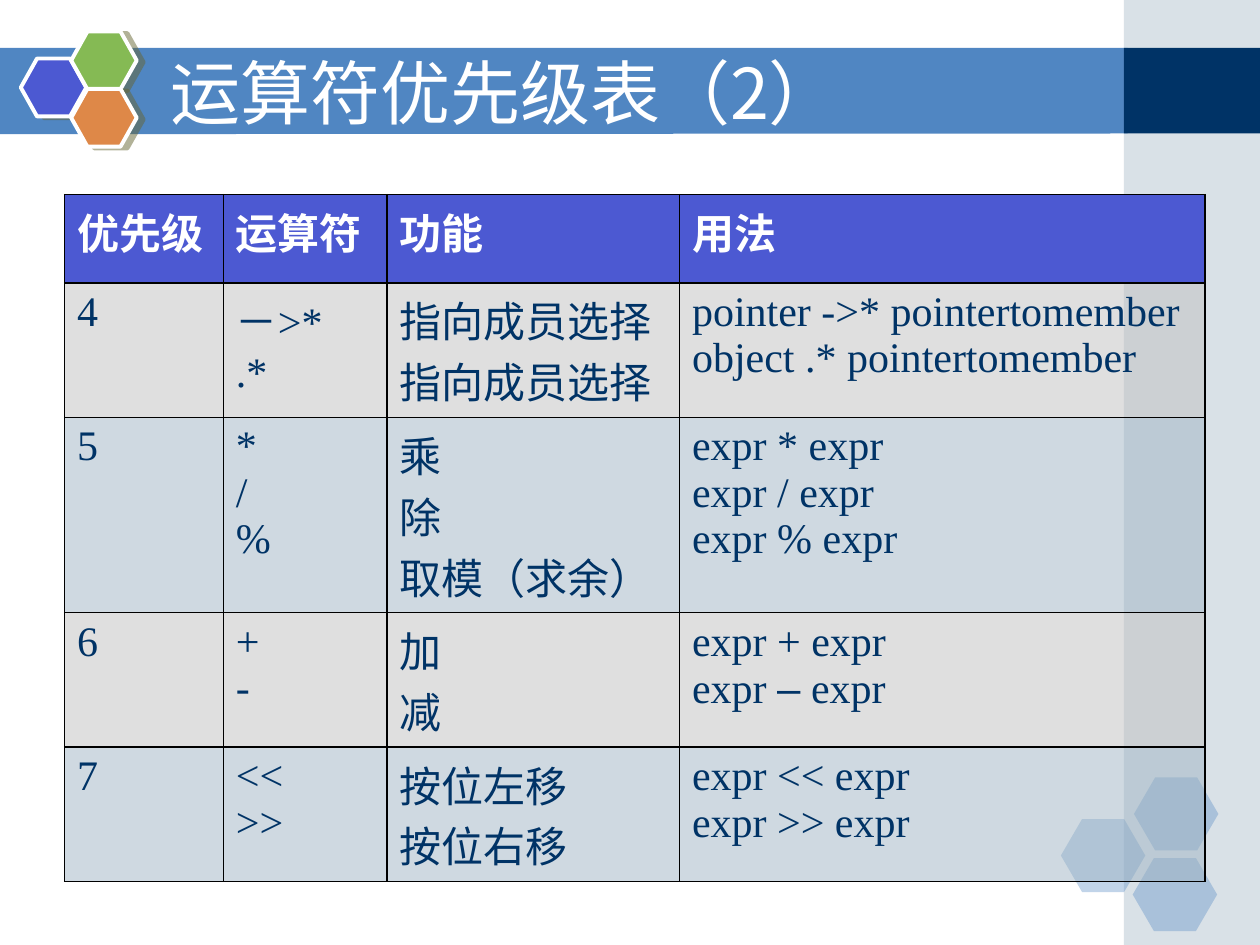
from pptx import Presentation
from pptx.dml.color import RGBColor
from pptx.enum.shapes import MSO_SHAPE
from pptx.enum.text import MSO_ANCHOR
from pptx.oxml import parse_xml
from pptx.oxml.ns import nsdecls, qn
from pptx.util import Inches, Pt

COLORS = {
    "banner": "5086C2", "navy": "003366", "mist": "A0B5C4", "silver": "C0C0C0",
    "indigo": "4C59D2", "green": "85BA54", "orange": "DE8848",
    "shade": "666633", "white": "FFFFFF", "black": "000000",
}
COLUMNS, ROWS = 100, 75

HEADER = ["优先级", "运算符", "功能", "用法"]
OPERATORS = [
    ["4", "－>*\n.*", "指向成员选择\n指向成员选择",
     "pointer ->* pointertomember\nobject .* pointertomember"],
    ["5", "*\n/\n%", "乘\n除\n取模（求余）", "expr * expr\nexpr / expr\nexpr % expr"],
    ["6", "+\n-", "加\n减", "expr + expr\nexpr – expr"],
    ["7", "<<\n>>", "按位左移\n按位右移", "expr << expr\nexpr >> expr"],
]


class SlideBuilder:
    """Places elements on a grid of COLUMNS by ROWS."""

    latin, dash, chinese = "Times New Roman", "Arial", "Noto Sans CJK SC"

    def __init__(self, deck):
        self.page = deck.slides.add_slide(deck.slide_layouts[6])
        self.column = deck.slide_width / COLUMNS
        self.row = deck.slide_height / ROWS

    def place(self, left, top, width, height):
        return (round(left * self.column), round(top * self.row),
                round(width * self.column), round(height * self.row))

    def paint(self, fill, holder, color, opacity=100):
        fill.solid()
        fill.fore_color.rgb = RGBColor.from_string(COLORS[color])
        if opacity < 100:
            tint = holder.find(".//" + qn("a:srgbClr"))
            tint.append(parse_xml(f'<a:alpha {nsdecls("a")} val="{opacity * 1000}"/>'))

    def style(self, span, size, color, font, bold=False):
        span.font.size, span.font.name, span.font.bold = Pt(size), font, bold
        span.font.color.rgb = RGBColor.from_string(COLORS[color])
        latin = span._r.get_or_add_rPr().find(qn("a:latin"))
        latin.addnext(parse_xml(f'<a:ea {nsdecls("a")} typeface="{self.chinese}"/>'))

    def band(self, corners, color):
        (left, top), *others = [self.place(x, y, 0, 0)[:2] for x, y in corners]
        outline = self.page.shapes.build_freeform(left, top)
        outline.add_line_segments(others, close=True)
        shape = outline.convert_to_shape()
        shape.shadow.inherit = False
        shape.line.fill.background()
        self.paint(shape.fill, shape.element.spPr, color)

    def shape(self, kind, area, color, opacity=100):
        shape = self.page.shapes.add_shape(kind, *self.place(*area))
        shape.shadow.inherit = False
        shape.line.fill.background()
        self.paint(shape.fill, shape.element.spPr, color, opacity)
        return shape

    def hexagon(self, area, color, opacity=100, raised=False):
        shape = self.shape(MSO_SHAPE.HEXAGON, area, color, opacity)
        shape.adjustments[0] = 0.28 if raised else 0.29
        if raised:
            shape.line.color.rgb = RGBColor.from_string(COLORS["white"])
            shape.line.width = Pt(2.25)
            shape.element.spPr.find(qn("a:effectLst")).append(parse_xml(
                f'<a:outerShdw {nsdecls("a")} blurRad="0" dist="{Pt(4.1)}" '
                f'dir="{14 * 60000}" algn="ctr" rotWithShape="0">'
                f'<a:srgbClr val="{COLORS["shade"]}"><a:alpha val="50000"/></a:srgbClr>'
                '</a:outerShdw>'))

    def title(self, text, area):
        box = self.page.shapes.add_textbox(*self.place(*area))
        frame = box.text_frame
        frame.word_wrap = True
        frame.vertical_anchor = MSO_ANCHOR.MIDDLE
        frame.text = text
        self.style(frame.paragraphs[0].runs[0], 40, "white", self.chinese)

    def cell(self, cell, text, color, fill, opacity, bold):
        cell.text_frame.text = text
        for para in cell.text_frame.paragraphs:
            properties = para._p.get_or_add_pPr()
            properties.set("marL", str(Inches(0.38)))
            properties.set("indent", str(-Inches(0.38)))
            if "–" in para.text:
                parts = para.text.partition("–")
                para.text = parts[0]
                for part in parts[1:]:
                    para.add_run().text = part
            for span in para.runs:
                font = self.dash if span.text == "–" else self.latin
                self.style(span, 24, color, font, bold)
        properties = cell._tc.get_or_add_tcPr()
        self.paint(cell.fill, properties, fill, opacity)
        for index, side in enumerate("LRTB"):
            properties.insert(index, parse_xml(
                f'<a:ln{side} {nsdecls("a")} w="{Pt(0.96)}"><a:solidFill>'
                f'<a:srgbClr val="{COLORS["black"]}"/></a:solidFill></a:ln{side}>'))

    def table(self, rows, left, top, widths, heights):
        area = self.place(left, top, sum(widths), sum(heights))
        table = self.page.shapes.add_table(len(rows), len(widths), *area).table
        for column, width in zip(table.columns, widths):
            column.width = round(width * self.column)
        for index, (row, height) in enumerate(zip(table.rows, heights)):
            row.height = round(height * self.row)
            if index == 0:
                look = ("white", "indigo", 100, True)
            else:
                look = ("navy", "silver" if index % 2 else "mist", 50, False)
            for cell, text in zip(row.cells, rows[index]):
                self.cell(cell, text, *look)


def main():
    deck = Presentation()
    deck.slide_width, deck.slide_height = Inches(10), Inches(7.5)
    slide = SlideBuilder(deck)

    # Title band and right-hand strip
    slide.band([(-0.1, 3.8), (89.5, 3.8), (89.5, 10.6), (-0.1, 10.65)], "banner")
    slide.shape(MSO_SHAPE.RECTANGLE, (89.2, 0, 10.8, 75), "mist", 40)
    slide.shape(MSO_SHAPE.RECTANGLE, (89.2, 3.8, 10.8, 6.8), "navy")

    # Pale hexagons in the lower corner
    for left, top in [(84.2, 65), (90, 61.7), (89.9, 68.1)]:
        slide.hexagon((left, top, 6.7, 5.8), "banner", 35)

    # Raised hexagons beside the title
    for left, top, color in [(1.65, 4.65, "indigo"), (5.65, 2.5, "green"), (5.65, 7.05, "orange")]:
        slide.hexagon((left, top, 5.2, 4.6), color, raised=True)

    slide.title("运算符优先级表（2）", (12.55, 4.2, 83.2, 6.2))

    # Operator precedence table, rows sized by their lines of Chinese text
    slide.table([HEADER, *OPERATORS], 5.13, 15.45,
                widths=[12.6, 13, 23.2, 41.7], heights=[7, 10.67, 15.5, 10.67, 10.67])

    deck.save("out.pptx")


if __name__ == "__main__":
    main()
